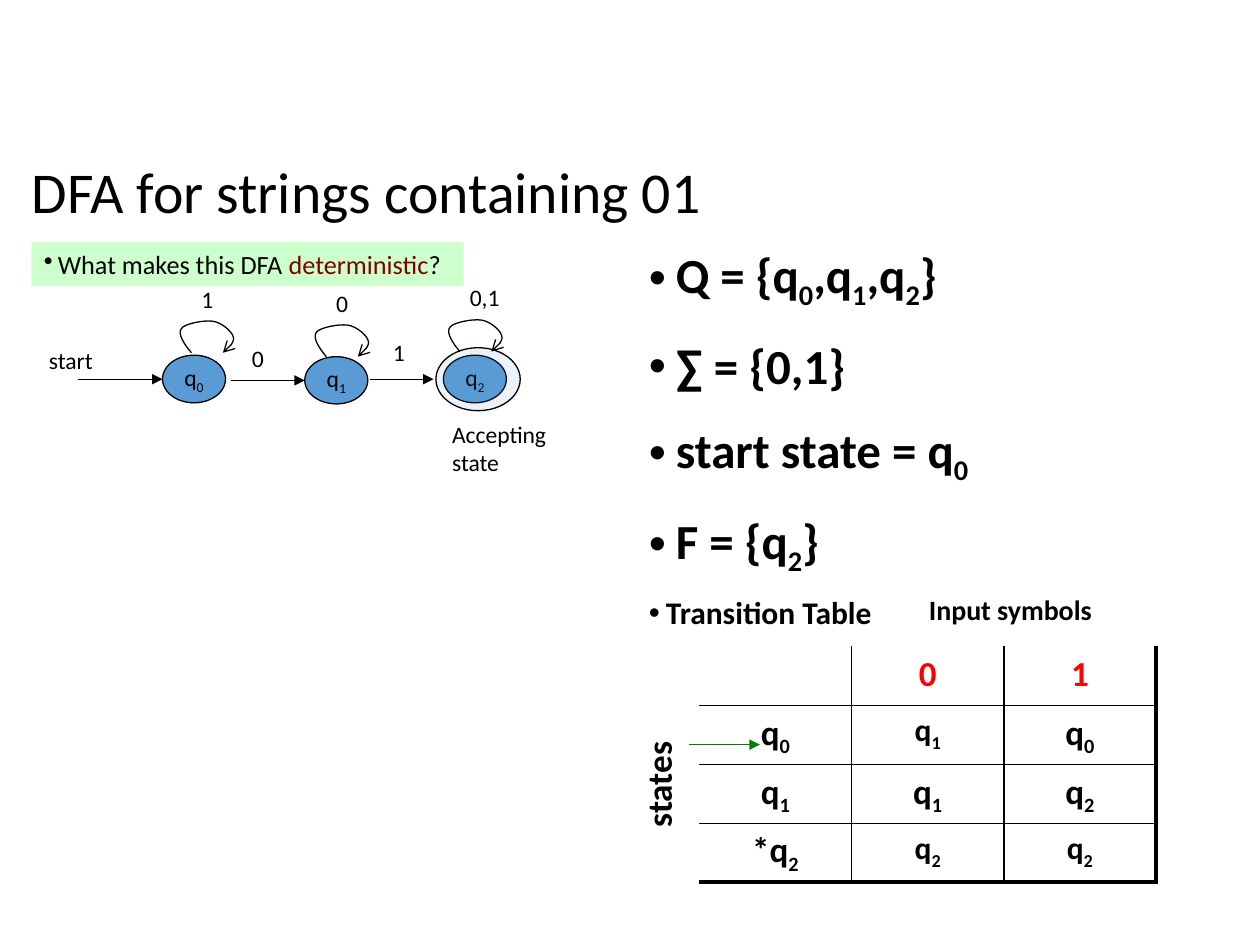
from lxml.etree import SubElement
from pptx import Presentation
from pptx.dml.color import RGBColor
from pptx.enum.shapes import MSO_CONNECTOR, MSO_SHAPE
from pptx.enum.text import MSO_ANCHOR, MSO_AUTO_SIZE, PP_ALIGN
from pptx.oxml.ns import qn
from pptx.util import Pt

COLORS = {
    "black": "000000", "state": "5B9BD5", "question": "CCFFCC",
    "maroon": "800000", "red": "FF0000", "green": "008000",
}


def write(para, text, size, color="black", bold=False, bullet=0):
    """Append text whose |marked| parts are subscripts; bullet is the hanging indent."""
    if bullet:
        props = para._p.get_or_add_pPr()
        props.set("marL", str(Pt(bullet)))
        props.set("indent", str(-Pt(bullet)))
        SubElement(props, qn("a:buChar"), char="•")
    for index, piece in enumerate(text.split("|")):
        if not piece:
            continue
        span = para.add_run()
        span.text = piece
        span.font.name = "Calibri"
        span.font.size = Pt(size)
        span.font.bold = bold
        span.font.color.rgb = RGBColor.from_string(COLORS[color])
        if index % 2:
            span._r.get_or_add_rPr().set("baseline", "-25000")


def style_arrow(shape, head, color="black"):
    shape.line.width = Pt(0.75)
    shape.line.color.rgb = RGBColor.from_string(COLORS[color])
    SubElement(shape.line._get_or_add_ln(), qn("a:tailEnd"), type=head)
    SubElement(shape._element.spPr, qn("a:effectLst"))


deck = Presentation()
deck.slide_width, deck.slide_height = Pt(720), Pt(540)
page = deck.slides.add_slide(deck.slide_layouts[1])
shapes = page.shapes

# Title and definition list
title, body = page.placeholders
title.left, title.top, title.width, title.height = Pt(10.8), Pt(86.4), Pt(613.4), Pt(49.7)
title.text_frame.auto_size = MSO_AUTO_SIZE.NONE
title.text_frame.vertical_anchor = MSO_ANCHOR.MIDDLE
heading = title.text_frame.paragraphs[0]
heading.alignment = PP_ALIGN.LEFT
heading.line_spacing = 0.9
write(heading, "DFA for strings containing 01", 33)

body.left, body.top, body.width, body.height = Pt(363.6), Pt(136.1), Pt(316.8), Pt(226.8)
body.text_frame.auto_size = MSO_AUTO_SIZE.NONE
definitions = [
    ("Q = {q|0|,q|1|,q|2|}", 28, 15.4),
    ("∑ = {0,1}", 28, 15.4),
    ("start state = q|0|", 28, 15.4),
    ("F = {q|2|}", 28, 15.4),
    ("Transition Table", 18, 9.7),
]
for index, (text, size, indent) in enumerate(definitions):
    para = body.text_frame.add_paragraph() if index else body.text_frame.paragraphs[0]
    para.space_before = Pt(size / 2 if index else 0)
    write(para, text, size, bold=True, bullet=indent)

# Question bar
bar = shapes.add_shape(MSO_SHAPE.RECTANGLE, Pt(18), Pt(138.2), Pt(247), Pt(25.2))
bar.shadow.inherit = False
bar.fill.solid()
bar.fill.fore_color.rgb = RGBColor.from_string(COLORS["question"])
bar.line.fill.background()
bar.text_frame.word_wrap = True
question = bar.text_frame.paragraphs[0]
question.alignment = PP_ALIGN.LEFT
write(question, "What makes this DFA ", 15, bullet=8)
write(question, "deterministic", 15, "maroon")
write(question, "?", 15)

# States, the last one ringed as accepting
ellipses = [
    (92.9, 203, 36, 27.2, "q|0|"),
    (174.2, 203.8, 36, 27, "q|1|"),
    (253.4, 203, 36, 27.2, "q|2|"),
    (249.1, 198.7, 48.2, 36, ""),
]
for left, top, width, height, name in ellipses:
    state = shapes.add_shape(MSO_SHAPE.OVAL, Pt(left), Pt(top), Pt(width), Pt(height))
    state.shadow.inherit = False
    state.fill.solid()
    state.fill.fore_color.rgb = RGBColor.from_string(COLORS["state"])
    state.line.color.rgb = RGBColor.from_string(COLORS["black"])
    state.line.width = Pt(0.75)
    if name:
        state.text_frame.word_wrap = False
        state.text_frame.paragraphs[0].alignment = PP_ALIGN.CENTER
        write(state.text_frame.paragraphs[0], name, 13.5)
    else:
        tint = state._element.spPr.find(qn("a:solidFill"))[0]
        SubElement(tint, qn("a:alpha"), val="12000")

# Self-loops, drawn as Bézier curves from an offset-based outline
loop_curves = [
    [(0, 0), (-4.3, -5), (-7.9, -10.8), (-5.8, -13.7)],
    [(-5.8, -13.7), (-4.3, -16.6), (7.2, -18.7), (12.2, -18)],
    [(12.2, -18), (17.3, -17.3), (23, -12.2), (23.8, -9.4)],
    [(23.8, -9.4), (25.2, -6.5), (21.6, -2.9), (18, 0)],
]
STEPS = 8
loop_points = []
for curve in loop_curves:
    for step in range(1, STEPS + 1):
        t = step / STEPS
        weights = ((1 - t) ** 3, 3 * t * (1 - t) ** 2, 3 * t * t * (1 - t), t ** 3)
        loop_points.append([sum(w * point[axis] for w, point in zip(weights, curve))
                            for axis in (0, 1)])
for x, y in [(109.4, 201.6), (186.5, 203.8), (262.8, 200.9)]:
    builder = shapes.build_freeform(Pt(x), Pt(y))
    builder.add_line_segments([(Pt(x + dx), Pt(y + dy)) for dx, dy in loop_points], close=False)
    loop = builder.convert_to_shape()
    loop.fill.background()
    style_arrow(loop, "arrow")

# Transition arrows and the start-row marker of the table
arrows = [
    (44.6, 92.9, 216.7, "black"),
    (131.8, 174.2, 217.4, "black"),
    (211.7, 247.7, 216.7, "black"),
    (393.8, 434.2, 425.5, "green"),
]

# Transition table
rows = [
    [("", 20), ("0", 20), ("1", 20)],
    [("q|0|", 20), ("q|1|", 18), ("q|0|", 20)],
    [("q|1|", 20), ("q|1|", 20), ("q|2|", 20)],
    [("*q|2|", 20), ("q|2|", 18), ("q|2|", 18)],
]
last_row, last_column = len(rows) - 1, len(rows[0]) - 1
table = shapes.add_table(len(rows), len(rows[0]), Pt(399.6), Pt(369.4), Pt(261), Pt(134.8)).table
table.first_row = table.horz_banding = False
for r, row in enumerate(rows):
    table.rows[r].height = Pt(33.7)
    for c, (text, size) in enumerate(row):
        cell = table.cell(r, c)
        cell.margin_bottom = 0
        borders = {
            "lnL": 1 if c else 0,
            "lnR": 2.25 if c == last_column else 1,
            "lnT": 1 if r else 0,
            "lnB": 2.25 if r == last_row else 1,
        }
        for side, width in borders.items():
            edge = SubElement(cell._tc.get_or_add_tcPr(), qn(f"a:{side}"), w=str(Pt(width)))
            if width:
                paint = SubElement(edge, qn("a:solidFill"))
                SubElement(paint, qn("a:srgbClr"), val=COLORS["black"])
            else:
                SubElement(edge, qn("a:noFill"))
        cell.fill.background()
        para = cell.text_frame.paragraphs[0]
        para.alignment = PP_ALIGN.CENTER
        write(para, text, size, "black" if r else "red", bold=True)

for start, end, y, color in arrows:
    arrow = shapes.add_connector(MSO_CONNECTOR.STRAIGHT, Pt(start), Pt(y), Pt(end), Pt(y))
    style_arrow(arrow, "triangle", color)

# Labels: left, top, width, height, lines, size, bold, rotation
labels = [
    (20.9, 194.4, 40.3, 23.8, ["start"], 13.5, False, 0),
    (136.8, 193, 21.6, 23.8, ["0"], 13.5, False, 0),
    (217.4, 189.4, 21.6, 23.8, ["1"], 13.5, False, 0),
    (108, 159.1, 21.6, 23.8, ["1"], 13.5, False, 0),
    (185, 161.3, 21.6, 23.8, ["0"], 13.5, False, 0),
    (261.4, 158.4, 31.7, 23.8, ["0,1"], 13.5, False, 0),
    (251.3, 236.2, 69.1, 40.3, ["Accepting", "state"], 13.5, False, 0),
    (344.2, 432, 64.1, 31.7, ["states"], 20, True, 270),
    (505.4, 334.8, 144, 26.6, ["Input symbols"], 16, True, 0),
]
for left, top, width, height, lines, size, bold, rotation in labels:
    box = shapes.add_textbox(Pt(left), Pt(top), Pt(width), Pt(height))
    box.rotation = rotation
    box.text_frame.word_wrap = False
    for index, line in enumerate(lines):
        para = box.text_frame.add_paragraph() if index else box.text_frame.paragraphs[0]
        if line == "Input symbols":
            para.alignment = PP_ALIGN.CENTER
        write(para, line, size, bold=bold)

deck.save("out.pptx")
